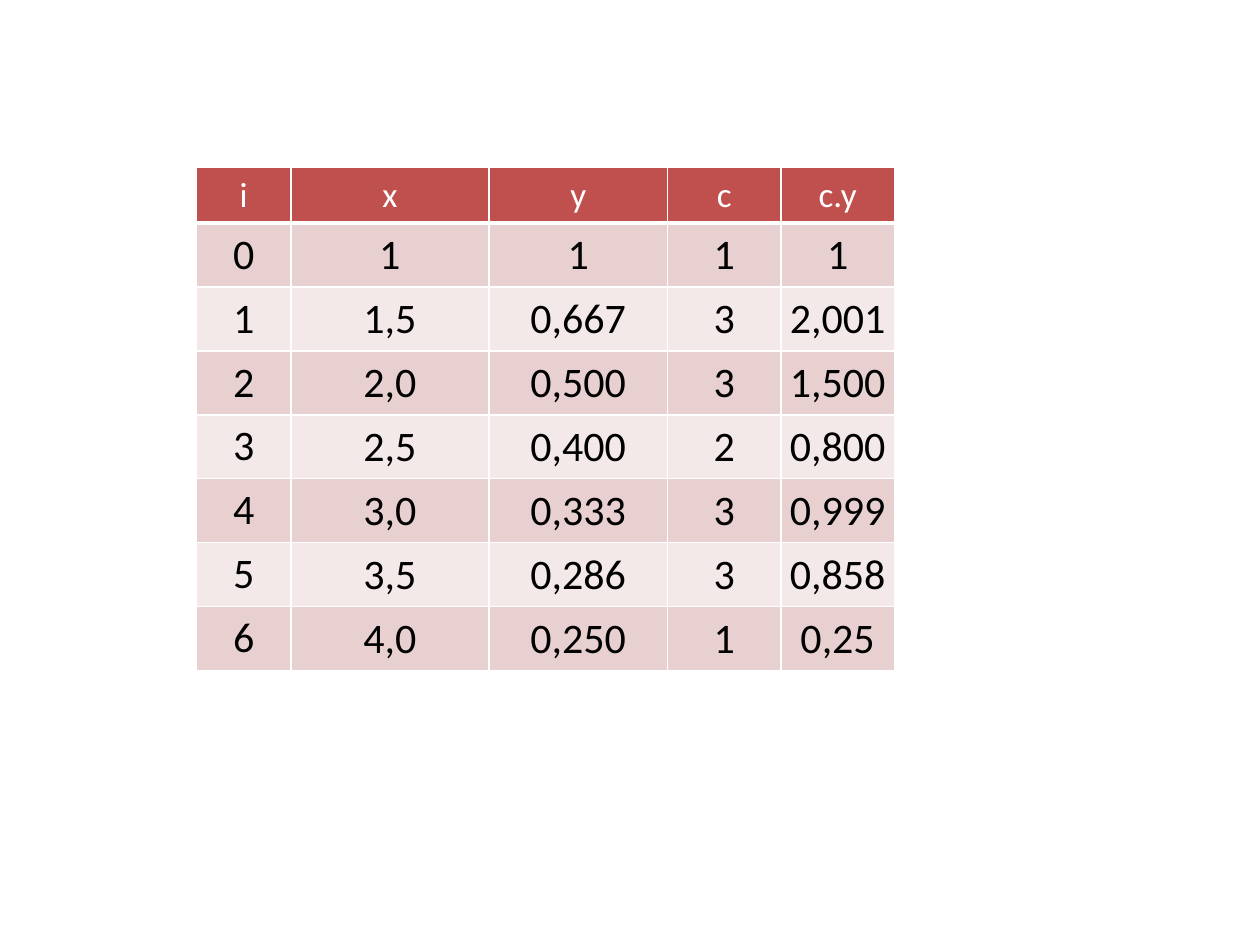
from collections import namedtuple
from dataclasses import dataclass

from lxml import etree
from pptx import Presentation
from pptx import util as u
from pptx.dml.color import RGBColor
from pptx.enum import text
from pptx.oxml.ns import qn

Box = namedtuple("Box", "left top width height")


@dataclass(frozen=True)
class Theme:
    font: str = "Calibri"
    header_size: int = 20
    value_size: int = 24
    header_fill: str = "C0504D"
    header_text: str = "FFFFFF"
    value_text: str = "000000"
    bands: tuple = ("E8D0D0", "F4E9E9")
    rule: str = "FFFFFF"
    thin: int = 1
    thick: int = 3


THEME = Theme()
SLIDE_WIDTH, SLIDE_HEIGHT = 10, 7.5
TABLE_BOX = Box(1.56, 1.33, 5.54, 3.93)
COLUMN_WEIGHTS = (0.75, 1.57, 1.42, 0.9, 0.9)
HEADER_WEIGHT, VALUE_WEIGHT = 0.43, 0.5
INDEX_MARGINS = (0.1, 0.05, 0.1, 0.05)
VALUE_MARGINS = (0.01, 0.01, 0.01, 0)

HEADINGS = ("i", "x", "y", "c", "c.y")
VALUES = (
    ("0", "1", "1", "1", "1"),
    ("1", "1,5", "0,667", "3", "2,001"),
    ("2", "2,0", "0,500", "3", "1,500"),
    ("3", "2,5", "0,400", "2", "0,800"),
    ("4", "3,0", "0,333", "3", "0,999"),
    ("5", "3,5", "0,286", "3", "0,858"),
    ("6", "4,0", "0,250", "1", "0,25"),
)


def share_out(total, weights):
    """Split a length in proportion to the weights."""
    return [u.Inches(total * weight / sum(weights)) for weight in weights]


def rule_cell(cell, top, bottom):
    """Draw the four borders; they must come before the cell's fill."""
    properties = cell._tc.get_or_add_tcPr()
    widths = {"L": THEME.thin, "R": THEME.thin, "T": top, "B": bottom}
    for side, width in widths.items():
        line = etree.SubElement(properties, qn(f"a:ln{side}"), w=str(u.Pt(width)))
        solid = etree.SubElement(line, qn("a:solidFill"))
        etree.SubElement(solid, qn("a:srgbClr"), val=THEME.rule)


def write_cell(cell, words, size, color, fill, margins):
    cell.fill.solid()
    cell.fill.fore_color.rgb = RGBColor.from_string(fill)
    (cell.margin_left, cell.margin_top,
     cell.margin_right, cell.margin_bottom) = map(u.Inches, margins)
    paragraph = cell.text_frame.paragraphs[0]
    paragraph.alignment = text.PP_ALIGN.CENTER
    run = paragraph.add_run()
    run.text = words
    run.font.name = THEME.font
    run.font.size = u.Pt(size)
    run.font.bold = False
    run.font.color.rgb = RGBColor.from_string(color)


def add_integration_table(slide, box):
    table = slide.shapes.add_table(
        len(VALUES) + 1, len(HEADINGS), *map(u.Inches, box)).table
    for column, width in zip(table.columns, share_out(box.width, COLUMN_WEIGHTS)):
        column.width = width
    row_weights = [HEADER_WEIGHT] + [VALUE_WEIGHT] * len(VALUES)
    for row, height in zip(table.rows, share_out(box.height, row_weights)):
        row.height = height

    for col, heading in enumerate(HEADINGS):
        cell = table.cell(0, col)
        rule_cell(cell, THEME.thin, THEME.thick)
        write_cell(cell, heading, THEME.header_size, THEME.header_text,
                   THEME.header_fill, INDEX_MARGINS)

    for step, values in enumerate(VALUES):
        band = THEME.bands[step % len(THEME.bands)]
        top = THEME.thin if step else THEME.thick
        for col, value in enumerate(values):
            cell = table.cell(step + 1, col)
            rule_cell(cell, top, THEME.thin)
            write_cell(cell, value, THEME.value_size, THEME.value_text,
                       band, VALUE_MARGINS if col else INDEX_MARGINS)
            cell.vertical_anchor = text.MSO_ANCHOR.MIDDLE


def main():
    deck = Presentation()
    deck.slide_width = u.Inches(SLIDE_WIDTH)
    deck.slide_height = u.Inches(SLIDE_HEIGHT)
    slide = deck.slides.add_slide(deck.slide_layouts[6])
    add_integration_table(slide, TABLE_BOX)
    deck.save("out.pptx")


if __name__ == "__main__":
    main()
